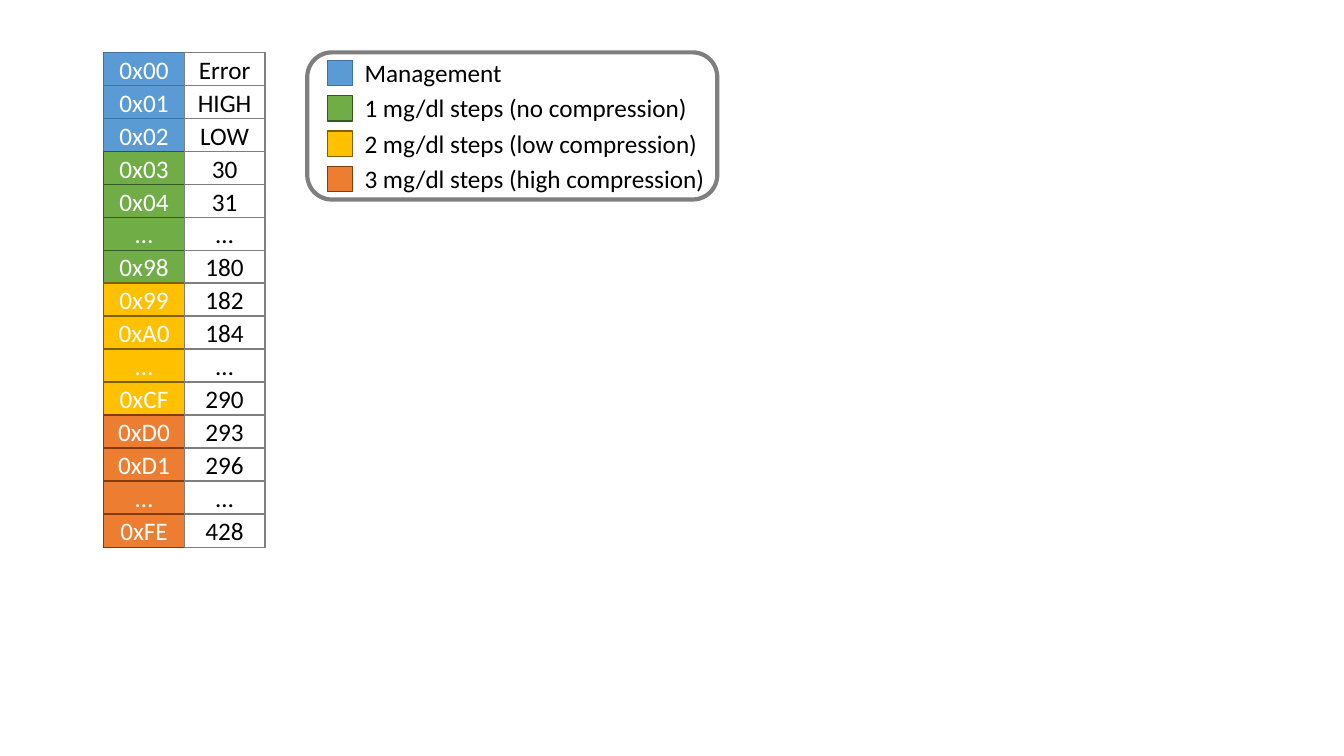
from dataclasses import dataclass

import pptx
import pptx.dml.color
import pptx.enum.shapes
import pptx.enum.text
import pptx.shapes.autoshape
import pptx.slide
import pptx.util

Inches = pptx.util.Inches
RGB = pptx.dml.color.RGBColor.from_string
Preset = pptx.enum.shapes.MSO_SHAPE


@dataclass(frozen=True)
class Theme:
    font: str = "Calibri"
    size: int = 18
    thin: int = 1
    thick: int = 3
    dark: str = "000000"
    light: str = "FFFFFF"
    frame: str = "7F7F7F"


@dataclass(frozen=True)
class Band:
    meaning: str
    fill: str
    line: str
    entries: tuple[tuple[str, str], ...]


@dataclass(frozen=True)
class Box:
    left: float
    top: float
    width: float
    height: float

    def emu(self) -> tuple[int, ...]:
        return tuple(Inches(v) for v in (self.left, self.top, self.width, self.height))


THEME = Theme()
BANDS = (
    Band("Management", "5B9BD5", "41719C",
         (("0x00", "Error"), ("0x01", "HIGH"), ("0x02", "LOW"))),
    Band("1 mg/dl steps (no compression)", "70AD47", "385723",
         (("0x03", "30"), ("0x04", "31"), ("…", "…"), ("0x98", "180"))),
    Band("2 mg/dl steps (low compression)", "FFC000", "7F6000",
         (("0x99", "182"), ("0xA0", "184"), ("…", "…"), ("0xCF", "290"))),
    Band("3 mg/dl steps (high compression)", "ED7D31", "843C0C",
         (("0xD0", "293"), ("0xD1", "296"), ("…", "…"), ("0xFE", "428"))),
)

TOP = 0.52
CODE_LEFT, CELL_WIDTH, CELL_HEIGHT = 1.03, 0.8, 0.33
LAST_ROW_TOP = 5.1
LEGEND = Box(3.05, TOP, 4.07, 1.46)
SWATCH_LEFT, SWATCH_TOP, SWATCH_SIZE = 3.25, 0.6, 0.25
LABEL_LEFT, LABEL_WIDTH, LABEL_HEIGHT = 3.52, 3.57, 0.4
LEGEND_STEP = 0.35


def apply(target: object, values: dict[str, object]) -> None:
    for name, value in values.items():
        setattr(target, name, value)


def write(shape: pptx.shapes.autoshape.Shape, text: str, color: str,
          frame_format: dict[str, object], align: pptx.enum.text.PP_ALIGN) -> None:
    apply(shape.text_frame, frame_format)
    paragraph = shape.text_frame.paragraphs[0]
    paragraph.text = text
    paragraph.alignment = align
    apply(paragraph.font, {"name": THEME.font, "size": pptx.util.Pt(THEME.size)})
    paragraph.font.color.rgb = RGB(color)


def draw_box(slide: pptx.slide.Slide, box: Box, line: str, fill: str | None = None,
             weight: int = THEME.thin,
             preset: Preset = Preset.RECTANGLE) -> pptx.shapes.autoshape.Shape:
    shape = slide.shapes.add_shape(preset, *box.emu())
    shape.shadow.inherit = False
    if fill:
        shape.fill.solid()
        shape.fill.fore_color.rgb = RGB(fill)
    else:
        shape.fill.background()
    shape.line.color.rgb = RGB(line)
    shape.line.width = pptx.util.Pt(weight)
    return shape


def draw_cell(slide: pptx.slide.Slide, box: Box, text: str, color: str,
              line: str, fill: str | None = None) -> None:
    centred = {"word_wrap": True, "vertical_anchor": pptx.enum.text.MSO_ANCHOR.MIDDLE}
    write(draw_box(slide, box, line, fill), text, color, centred,
          pptx.enum.text.PP_ALIGN.CENTER)


def draw_codes(slide: pptx.slide.Slide) -> None:
    rows = [(band, code, value) for band in BANDS for code, value in band.entries]
    pitch = (LAST_ROW_TOP - TOP) / (len(rows) - 1)
    for index, (band, code, _) in enumerate(rows):
        box = Box(CODE_LEFT, TOP + index * pitch, CELL_WIDTH, CELL_HEIGHT)
        draw_cell(slide, box, code, THEME.light, band.line, band.fill)
    for index, (_, _, value) in enumerate(rows):
        box = Box(CODE_LEFT + CELL_WIDTH, TOP + index * pitch, CELL_WIDTH, CELL_HEIGHT)
        draw_cell(slide, box, value, THEME.dark, THEME.frame)


def draw_legend(slide: pptx.slide.Slide) -> None:
    draw_box(slide, LEGEND, THEME.frame, weight=THEME.thick,
             preset=Preset.ROUNDED_RECTANGLE)
    for index, band in enumerate(BANDS):
        offset = index * LEGEND_STEP
        swatch = Box(SWATCH_LEFT, SWATCH_TOP + offset, SWATCH_SIZE, SWATCH_SIZE)
        draw_box(slide, swatch, band.line, band.fill)
        label_box = Box(LABEL_LEFT, TOP + offset, LABEL_WIDTH, LABEL_HEIGHT)
        label = slide.shapes.add_textbox(*label_box.emu())
        write(label, band.meaning, THEME.dark, {"word_wrap": False},
              pptx.enum.text.PP_ALIGN.LEFT)


def main() -> None:
    deck = pptx.Presentation()
    apply(deck, {"slide_width": Inches(13.34), "slide_height": Inches(7.5)})
    slide = deck.slides.add_slide(deck.slide_layouts.get_by_name("Blank"))
    draw_codes(slide)
    draw_legend(slide)
    deck.save("out.pptx")


if __name__ == "__main__":
    main()
